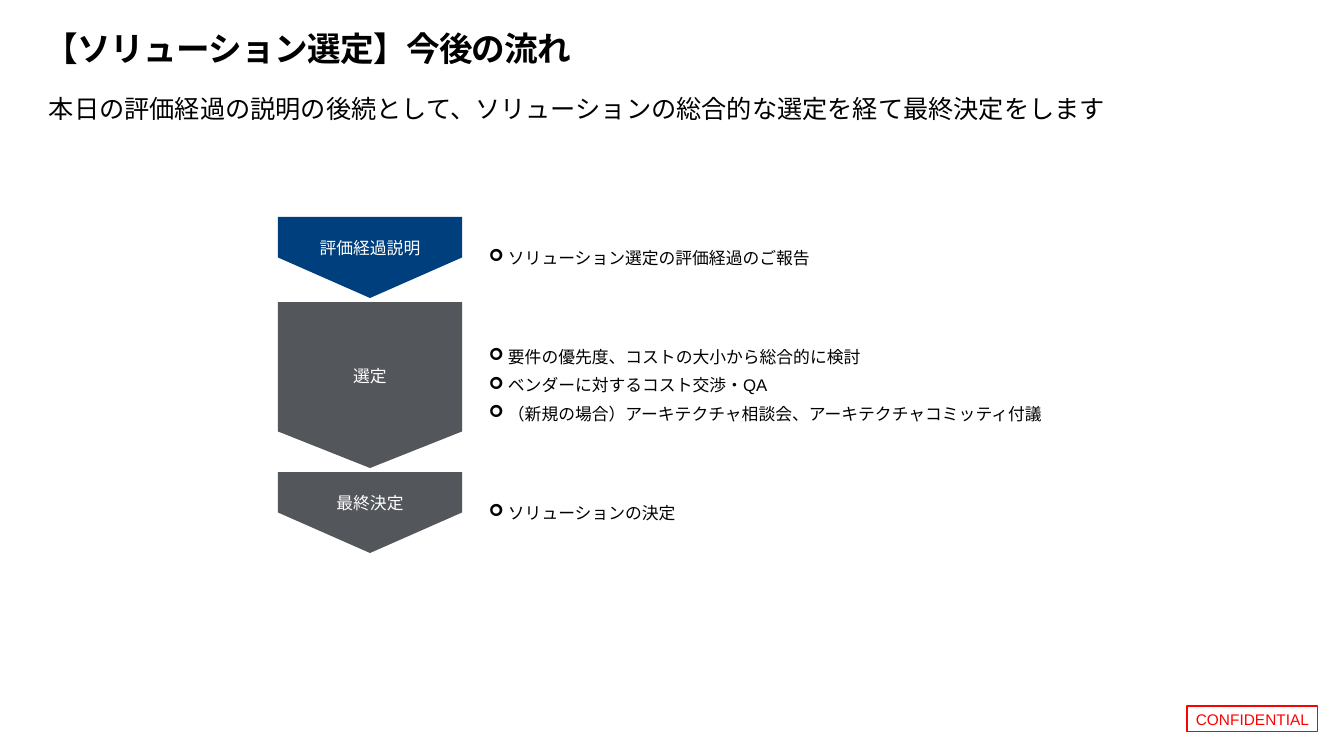
from dataclasses import dataclass

from lxml import etree
from pptx import Presentation
from pptx.dml.color import RGBColor
from pptx.enum.shapes import MSO_SHAPE
from pptx.enum.text import MSO_ANCHOR, PP_ALIGN
from pptx.oxml.ns import qn
from pptx.util import Pt

PLATE, RECT = MSO_SHAPE.PENTAGON, MSO_SHAPE.RECTANGLE
MIDDLE, BOTTOM = MSO_ANCHOR.MIDDLE, MSO_ANCHOR.BOTTOM
LEFT, CENTER = PP_ALIGN.LEFT, PP_ALIGN.CENTER
SCALE = 914400 / 100.8  # EMU per px


def px(n):
    return round(n * SCALE)


@dataclass(frozen=True)
class Theme:
    ink: str = "000000"
    white: str = "FFFFFF"
    navy: str = "003F7E"
    gray: str = "53565A"
    red: str = "FF0000"
    font: str = "Arial"
    asian: str = "Noto Sans CJK JP"
    title: int = 24
    lead: int = 18
    body: int = 12
    stamp: int = 11


class Board:
    def __init__(self, slide, theme):
        self.slide = slide
        self.theme = theme

    def frame(self, shape, inset, anchor=MIDDLE):
        frame = shape.text_frame
        frame.word_wrap = True
        frame.vertical_anchor = anchor
        frame.margin_left = frame.margin_right = px(inset)
        frame.margin_top = frame.margin_bottom = px(inset)
        return frame

    def add_run(self, para, text, size, color, align=LEFT, font=None, bold=False):
        para.alignment = align
        run = para.add_run()
        run.text = text
        run.font.name = font or self.theme.font
        run.font.size = Pt(size)
        run.font.bold = bold
        run.font.color.rgb = RGBColor.from_string(color)
        props = run.font._element
        props.set("lang", "ja-JP")
        asian = etree.Element(qn("a:ea"), typeface=self.theme.asian)
        props.find(qn("a:latin")).addnext(asian)
        return run

    def text(self, box, text, size, inset=4, anchor=MIDDLE, **style):
        shape = self.slide.shapes.add_textbox(*map(px, box))
        para = self.frame(shape, inset, anchor).paragraphs[0]
        return self.add_run(para, text, size, self.theme.ink, **style)

    def shape(self, kind, box):
        shape = self.slide.shapes.add_shape(kind, *map(px, box))
        shape.shadow.inherit = False
        return shape

    def stamp(self, box, text):
        shape = self.shape(RECT, box)
        shape.fill.background()
        shape.line.color.rgb = RGBColor.from_string(self.theme.red)
        shape.line.width = Pt(0.75)
        para = self.frame(shape, 4).paragraphs[0]
        self.add_run(para, text, self.theme.stamp, self.theme.red, CENTER)

    def arrow(self, x, y, wide, high, text, color, tip):
        # Turned a quarter, so its width and height swap about the centre
        shift = (wide - high) / 2
        shape = self.shape(PLATE, (x + shift, y - shift, high, wide))
        shape.rotation = 90
        shape.adjustments[0] = tip
        shape.fill.solid()
        shape.fill.fore_color.rgb = RGBColor.from_string(color)
        shape.line.fill.background()
        frame = self.frame(shape, 8)
        frame._txBody.bodyPr.set("vert", "vert270")
        self.add_run(frame.paragraphs[0], text, self.theme.body,
                     self.theme.white, CENTER)

    def points(self, box, items):
        shape = self.slide.shapes.add_textbox(*map(px, box))
        frame = self.frame(shape, 4)
        for i, item in enumerate(items):
            para = frame.add_paragraph() if i else frame.paragraphs[0]
            self.add_run(para, item, self.theme.body, self.theme.ink)
            if len(items) > 1:
                para.space_after = Pt(6)
            props = para._p.get_or_add_pPr()
            props.set("marL", str(px(19)))
            props.set("indent", str(-px(19)))
            etree.SubElement(props, qn("a:buFont"), typeface="Wingdings")
            etree.SubElement(props, qn("a:buChar"), char="➢")


def main():
    deck = Presentation()
    deck.slide_width, deck.slide_height = px(1344), px(756)
    theme = Theme()
    board = Board(deck.slides.add_slide(deck.slide_layouts[6]), theme)

    # Heading
    title = board.text((45, 28, 1028, 40), "【ソリューション選定】今後の流れ",
                       theme.title, inset=0, anchor=BOTTOM, bold=True)
    title.font._element.set("spc", "-50")
    board.text((45, 69, 1267, 78),
               "本日の評価経過の説明の後続として、ソリューションの総合的な選定を経て最終決定をします",
               theme.lead, font=theme.asian)

    # Steps: label, colour, height, tip, points
    steps = [
        ("評価経過説明", theme.navy, 81, 0.5,
         ["ソリューション選定の評価経過のご報告"]),
        ("選定", theme.gray, 166, 0.22,
         ["要件の優先度、コストの大小から総合的に検討",
          "ベンダーに対するコスト交渉・QA",
          "（新規の場合）アーキテクチャ相談会、アーキテクチャコミッティ付議"]),
        ("最終決定", theme.gray, 81, 0.5, ["ソリューションの決定"]),
    ]
    top, gap = 217, 4
    for label, color, high, tip, items in steps:
        board.arrow(278, top, 184, high, label, color, tip)
        board.points((485, top, 616, high), items)
        top += high + gap

    # Footer stamp
    board.stamp((1187, 706, 131, 26), "CONFIDENTIAL")

    deck.save("out.pptx")


if __name__ == "__main__":
    main()
